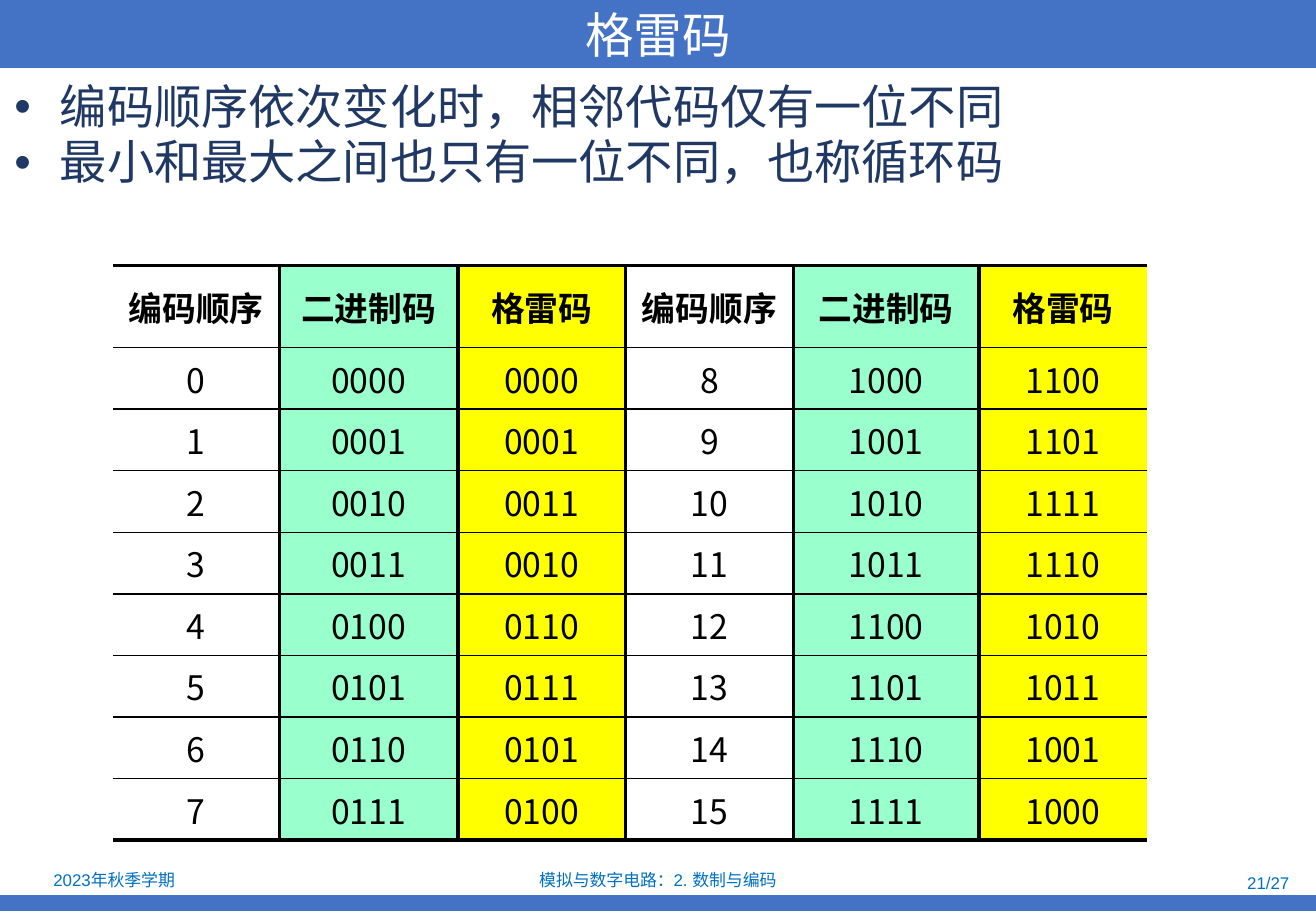
from lxml.etree import SubElement
from pptx import Presentation
from pptx.dml.color import RGBColor
from pptx.enum.shapes import MSO_SHAPE
from pptx.enum.text import MSO_ANCHOR, PP_ALIGN
from pptx.oxml import parse_xml
from pptx.oxml.ns import nsdecls, qn
from pptx.util import Pt

BLUE = RGBColor(0x44, 0x72, 0xC4)
NAVY = RGBColor(0x20, 0x38, 0x64)
FOOTER_BLUE = RGBColor(0x00, 0x70, 0xC0)
GREEN = RGBColor(0x99, 0xFF, 0xCC)
YELLOW = RGBColor(0xFF, 0xFF, 0x00)
BLACK = RGBColor(0x00, 0x00, 0x00)
WHITE = RGBColor(0xFF, 0xFF, 0xFF)
CJK_FONT = "Noto Sans CJK SC"
NO_GRID_STYLE = "{2D5ABB26-0587-4C30-8999-92F81FD0307C}"


def write_text(paragraph, text, size, color, font=CJK_FONT, bold=False, align=PP_ALIGN.CENTER):
    paragraph.alignment = align
    run = paragraph.add_run()
    run.text = text
    run.font.size = Pt(size)
    run.font.bold = bold
    run.font.color.rgb = color
    run.font.name = font
    SubElement(run.font._element, qn("a:ea"), typeface=CJK_FONT)


def add_border(cell, side, width):
    properties = cell._tc.get_or_add_tcPr()
    properties.append(parse_xml(
        f'<a:{side} {nsdecls("a")} w="{Pt(width)}"><a:solidFill>'
        f'<a:srgbClr val="{BLACK}"/></a:solidFill></a:{side}>'
    ))


presentation = Presentation()
presentation.slide_width = Pt(780)
presentation.slide_height = Pt(540)
slide = presentation.slides.add_slide(presentation.slide_layouts[6])

bars = []
for top, height in [(530.6, 9.4), (0, 40.3)]:
    bar = slide.shapes.add_shape(MSO_SHAPE.RECTANGLE, 0, Pt(top), Pt(780), Pt(height))
    bar.shadow.inherit = False
    bar.fill.solid()
    bar.fill.fore_color.rgb = BLUE
    bar.line.fill.background()
    bars.append(bar)
title_frame = bars[1].text_frame
title_frame.vertical_anchor = MSO_ANCHOR.MIDDLE
write_text(title_frame.paragraphs[0], "格雷码", 28.8, WHITE)

body = slide.shapes.add_textbox(Pt(1.4), Pt(46.1), Pt(778.6), Pt(468))
body.text_frame.word_wrap = True
points = ["编码顺序依次变化时，相邻代码仅有一位不同", "最小和最大之间也只有一位不同，也称循环码"]
for index, point in enumerate(points):
    paragraph = body.text_frame.paragraphs[0] if index == 0 else body.text_frame.add_paragraph()
    paragraph.line_spacing = 0.9
    paragraph.space_before = Pt(2.6 * index)
    properties = paragraph._p.get_or_add_pPr()
    properties.set("marL", str(Pt(27)))
    properties.set("indent", str(Pt(-27)))
    SubElement(properties, qn("a:buFont"), typeface="Arial")
    SubElement(properties, qn("a:buChar"), char="•")
    write_text(paragraph, point, 28, NAVY, font="Arial", align=PP_ALIGN.LEFT)

footers = [
    ("2023年秋季学期", 1.4, 513.4, 132.5, 16.6, PP_ALIGN.CENTER),
    ("模拟与数字电路：2. 数制与编码", 266.4, 514.1, 247, 15.1, PP_ALIGN.CENTER),
    ("21/27", 589, 515.5, 182.2, 15.1, PP_ALIGN.RIGHT),
]
for text, left, top, width, height, align in footers:
    box = slide.shapes.add_textbox(Pt(left), Pt(top), Pt(width), Pt(height))
    box.text_frame.word_wrap = True
    box.text_frame.vertical_anchor = MSO_ANCHOR.MIDDLE
    write_text(box.text_frame.paragraphs[0], text, 10, FOOTER_BLUE, font="Arial", align=align)

rows = [["编码顺序", "二进制码", "格雷码"] * 2]
for number in range(8):
    rows.append([
        text
        for code in (number, number + 8)
        for text in (str(code), f"{code:04b}", f"{code ^ code >> 1:04b}")
    ])
column_widths = [98.6, 105.8, 99.4, 99.4, 110.2, 99.4]
row_heights = [48.6] + [36.5] * 8
column_fills = [None, GREEN, YELLOW] * 2

frame = slide.shapes.add_table(
    len(rows), len(column_widths), Pt(67), Pt(157.5), Pt(sum(column_widths)), Pt(sum(row_heights))
)
table = frame.table
table.first_row = False
table.horz_banding = False
table._tbl.tblPr.find(qn("a:tableStyleId")).text = NO_GRID_STYLE
for column, width in zip(table.columns, column_widths):
    column.width = Pt(width)
for row, height in zip(table.rows, row_heights):
    row.height = Pt(height)

last_row, last_column = len(rows) - 1, len(column_widths) - 1
for row_index, row in enumerate(rows):
    for column_index, text in enumerate(row):
        cell = table.cell(row_index, column_index)
        cell.vertical_anchor = MSO_ANCHOR.MIDDLE
        write_text(cell.text_frame.paragraphs[0], text, 20, BLACK, bold=row_index == 0)
        if column_index > 0:
            add_border(cell, "lnL", 2.25)
        if column_index < last_column:
            add_border(cell, "lnR", 2.25)
        add_border(cell, "lnT", 2.25 if row_index == 0 else 1)
        add_border(cell, "lnB", 2.25 if row_index == last_row else 1)
        if column_fills[column_index] is None:
            cell.fill.background()
        else:
            cell.fill.solid()
            cell.fill.fore_color.rgb = column_fills[column_index]

presentation.save("out.pptx")
